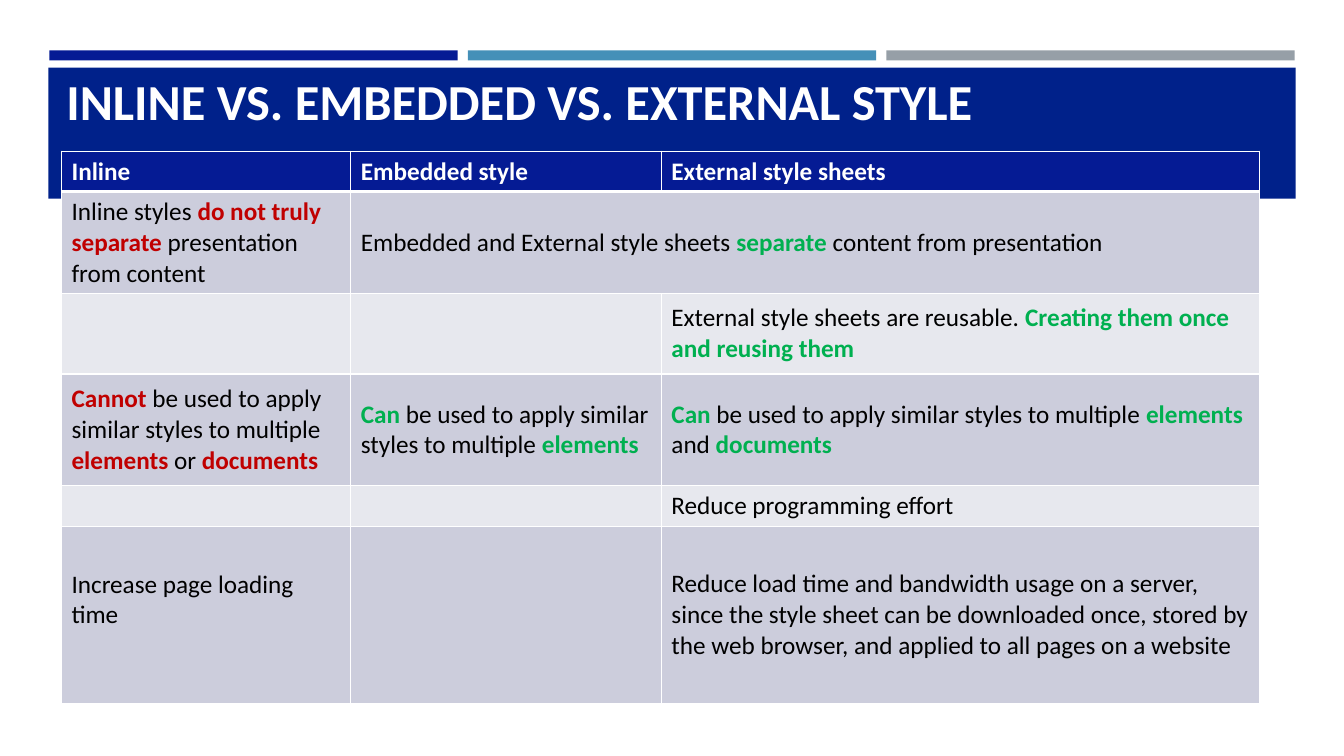
from lxml import etree
from pptx import Presentation
from pptx.dml.color import RGBColor
from pptx.enum import shapes, text
from pptx.oxml import ns
from pptx.util import Inches, Pt

COLOURS = {
    "navy": "051B94", "blue": "4590B8", "grey": "969FA7", "banner": "00218A",
    "white": "FFFFFF", "black": "000000", "red": "C00000", "green": "00B050",
    "dark band": "CCCDDC", "light band": "E7E8EE",
}


def write(frame, runs, size=18, colour="black", bold=False, anchor=text.MSO_ANCHOR.MIDDLE):
    """Fill a text frame; a run given as (words, colour) is bold in that colour."""
    frame.word_wrap = True
    frame.vertical_anchor = anchor
    paragraph = frame.paragraphs[0]
    for item in runs:
        words, run_colour, run_bold = (item, colour, bold) if isinstance(item, str) else (*item, True)
        run = paragraph.add_run()
        run.text = words
        run.font.name = "Calibri"
        run.font.size = Pt(size)
        run.font.bold = run_bold
        run.font.color.rgb = RGBColor.from_string(COLOURS[run_colour])


def add_border(cell, side, points):
    line = etree.SubElement(cell._tc.get_or_add_tcPr(), ns.qn(f"a:ln{side}"), w=str(Pt(points)))
    fill = etree.SubElement(line, ns.qn("a:solidFill"))
    etree.SubElement(fill, ns.qn("a:srgbClr"), val=COLOURS["white"])


presentation = Presentation()
presentation.slide_width = Inches(13.33)
presentation.slide_height = Inches(7.5)
slide = presentation.slides.add_slide(presentation.slide_layouts[6])

# Three accent strips above the title banner
bars = [(0.49 + 4.15 * i, 0.5, 4.05, 0.1, name) for i, name in enumerate(["navy", "blue", "grey"])]
bars.append((0.48, 0.67, 12.37, 1.3, "banner"))
for left, top, width, height, colour in bars:
    bar = slide.shapes.add_shape(
        shapes.MSO_SHAPE.RECTANGLE, Inches(left), Inches(top), Inches(width), Inches(height))
    bar.shadow.inherit = False
    bar.fill.solid()
    bar.fill.fore_color.rgb = RGBColor.from_string(COLOURS[colour])
    bar.line.fill.background()

title = slide.shapes.add_textbox(Inches(0.56), Inches(0.6), Inches(11.99), Inches(0.74))
write(title.text_frame, ["INLINE VS. EMBEDDED VS. EXTERNAL STYLE"],
      size=36, colour="white", bold=True, anchor=text.MSO_ANCHOR.BOTTOM)

# Comparison table
similar = " be used to apply similar styles to multiple "
rows = [
    [["Inline"], ["Embedded style"], ["External style sheets"]],
    [["Inline styles ", ("do not truly separate", "red"), " presentation from content"],
     ["Embedded and External style sheets ", ("separate ", "green"), "content from presentation"],
     []],
    [[], [], ["External style sheets are reusable. ",
              ("Creating them once and reusing them", "green")]],
    [[("Cannot", "red"), similar, ("elements", "red"), " or ", ("documents", "red")],
     [("Can", "green"), similar, ("elements", "green")],
     [("Can", "green"), similar, ("elements", "green"), " and ", ("documents", "green")]],
    [[], [], ["Reduce programming effort"]],
    [["Increase page loading time"], [],
     ["Reduce load time and bandwidth usage on a server, since the style sheet can be "
      "downloaded once, stored by the web browser, and applied to all pages on a website"]],
]
column_widths = [2.87, 3.08, 5.93]
row_heights = [0.4, 1.01, 0.8, 1.11, 0.4, 1.76]

table = slide.shapes.add_table(
    len(rows), len(column_widths), Inches(0.61), Inches(1.5),
    Inches(sum(column_widths)), Inches(sum(row_heights))).table
for column, width in zip(table.columns, column_widths):
    column.width = Inches(width)
for row, height in zip(table.rows, row_heights):
    row.height = Inches(height)
table.cell(1, 1).merge(table.cell(1, 2))

for r, row in enumerate(rows):
    header = r == 0
    band = "navy" if header else "dark band" if r % 2 else "light band"
    for c, runs in enumerate(row):
        cell = table.cell(r, c)
        for side in "LRTB":
            thick = (r, side) in [(0, "B"), (1, "T")]
            add_border(cell, side, 3 if thick else 1)
        cell.fill.solid()
        cell.fill.fore_color.rgb = RGBColor.from_string(COLOURS[band])
        cell.vertical_anchor = text.MSO_ANCHOR.TOP if header else text.MSO_ANCHOR.MIDDLE
        write(cell.text_frame, runs, colour="white" if header else "black", bold=header)

# The page loading note sits a little above the middle of its cell
table.cell(5, 0).margin_bottom = Inches(0.35)

presentation.save("out.pptx")
